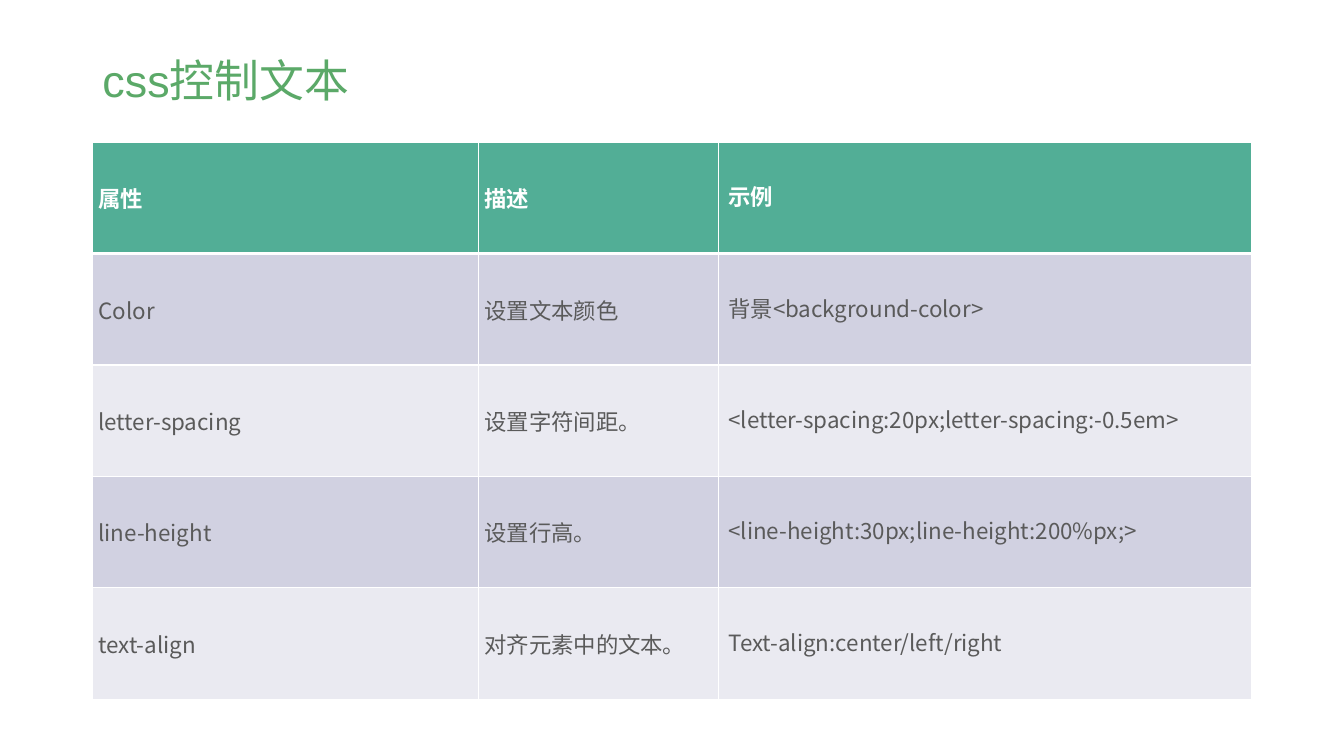
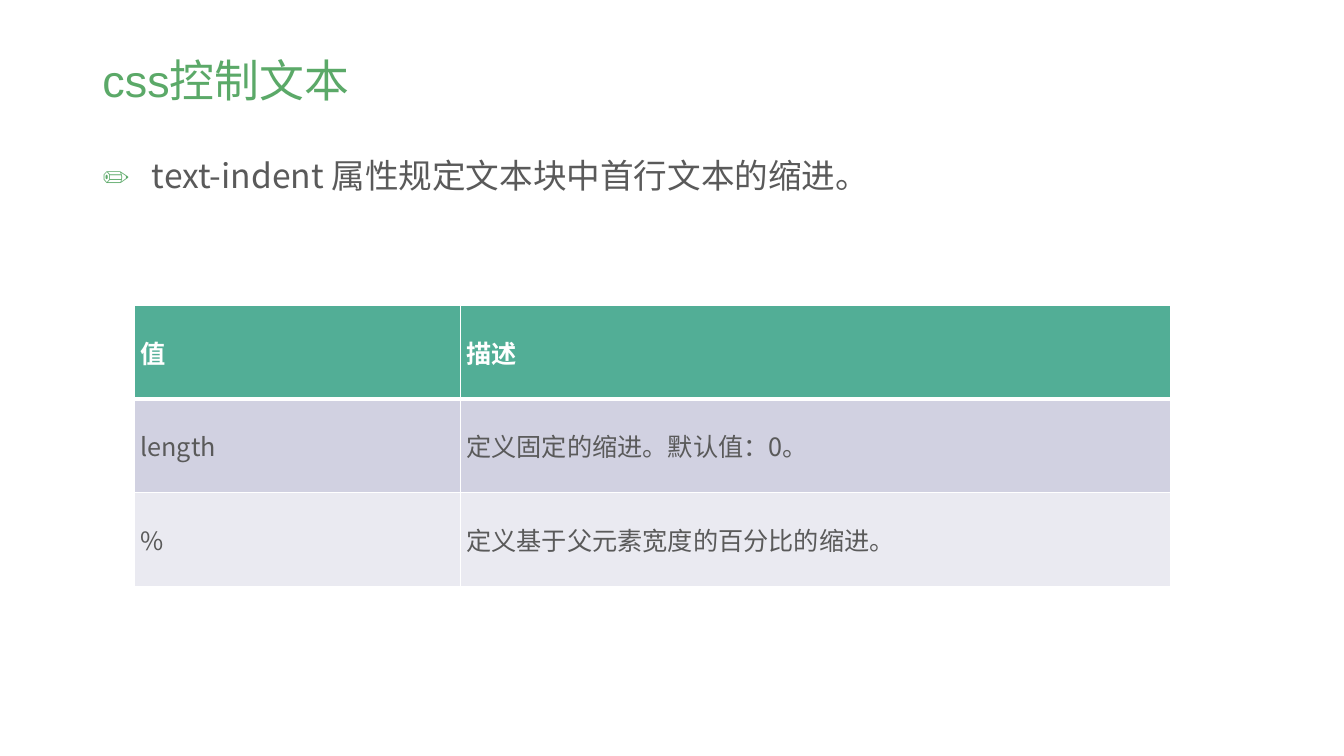
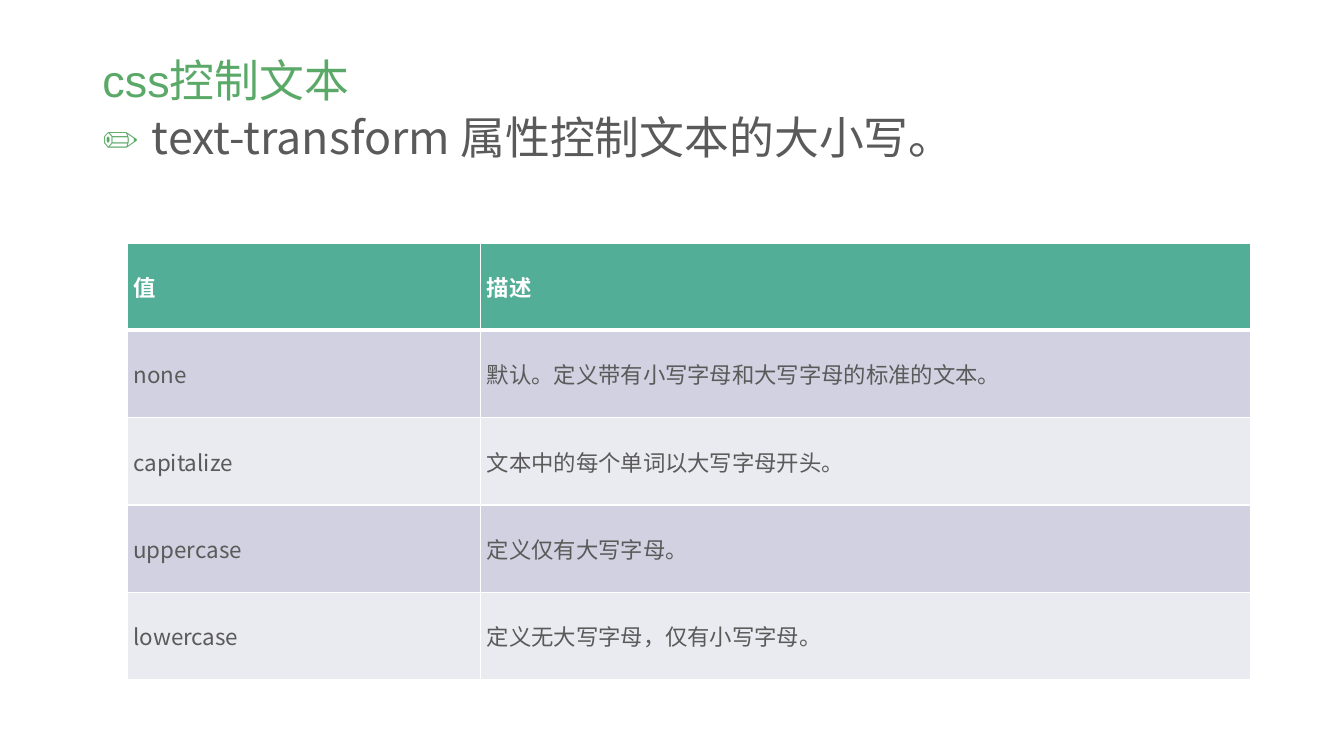
import dataclasses
import pptx
import pptx.dml.color
import pptx.enum.text
import pptx.oxml.ns
import pptx.util
import lxml.etree

Pt = pptx.util.Pt
text = pptx.enum.text


@dataclasses.dataclass(frozen=True)
class Theme:
    green: str = "5BA968"
    teal: str = "52AE96"
    ink: str = "5A5A5A"
    white: str = "FFFFFF"
    bands: tuple = ("D1D1E1", "EAEAF1")
    head: str = "Arial"
    main: str = "Noto Sans CJK SC"
    title: int = 32
    thin: int = 1
    thick: int = 3


theme = Theme()
MID = (4.32, 4, 11.52, 4)
HIGH = (7.2, 3.6, 7.2, 6.48)


def add(parent, tag, **attrs):
    node = lxml.etree.SubElement(parent, pptx.oxml.ns.qn(tag))
    for key, value in attrs.items():
        node.set(key, str(value))
    return node


def style(para, face, size, color, bold=False):
    font = para.font
    font.size = Pt(size)
    font.bold = bold
    font.color.rgb = pptx.dml.color.RGBColor.from_string(color)
    font.name = face
    node = para._p.pPr.find(pptx.oxml.ns.qn("a:defRPr"))
    add(node, "a:ea", typeface=face)


def place(shape, box):
    shape.left, shape.top, shape.width, shape.height = map(Pt, box)


def title(slide, words, box):
    shape = slide.shapes.title
    place(shape, box)
    frame = shape.text_frame
    frame.text = words
    frame.vertical_anchor = text.MSO_ANCHOR.MIDDLE
    frame.auto_size = text.MSO_AUTO_SIZE.NONE
    para = frame.paragraphs[0]
    para.alignment = text.PP_ALIGN.LEFT
    para.line_spacing = 0.9
    style(para, theme.head, theme.title, theme.green)


def bullet(para, indent):
    props = para._p.get_or_add_pPr()
    props.set("marL", str(Pt(indent)))
    props.set("indent", str(-Pt(indent)))
    tint = add(props, "a:buClr")
    add(tint, "a:srgbClr", val=theme.green)
    add(props, "a:buSzPct", val=85000)
    add(props, "a:buFont", typeface=theme.main)
    add(props, "a:buChar", char="✏")


def body(slide, words, size, box):
    shape = slide.placeholders[1]
    place(shape, box)
    frame = shape.text_frame
    frame.text = words
    frame.vertical_anchor = text.MSO_ANCHOR.TOP
    frame.auto_size = text.MSO_AUTO_SIZE.NONE
    para = frame.paragraphs[0]
    para.line_spacing = 1.2
    para.space_before = Pt(10)
    bullet(para, 35.28)
    style(para, theme.main, size, theme.ink)


def edge(cell, side, width):
    line = add(cell._tc.get_or_add_tcPr(), "a:ln" + side, w=Pt(width))
    fill = add(line, "a:solidFill")
    add(fill, "a:srgbClr", val=theme.white)


def paint(cell, words, row, size, inset):
    for side in "LRTB":
        rule = (side, row) in (("B", 0), ("T", 1))
        edge(cell, side, theme.thick if rule else theme.thin)
    back = theme.bands[(row - 1) % 2] if row else theme.teal
    cell.fill.solid()
    cell.fill.fore_color.rgb = pptx.dml.color.RGBColor.from_string(back)
    cell.vertical_anchor = text.MSO_ANCHOR.MIDDLE
    (cell.margin_left, cell.margin_top,
     cell.margin_right, cell.margin_bottom) = map(Pt, inset)
    cell.text = words
    color = theme.ink if row else theme.white
    style(cell.text_frame.paragraphs[0], theme.main, size, color, not row)


def table(slide, rows, cols, size, box):
    frame = slide.shapes.add_table(len(rows), len(cols), *map(Pt, box))
    grid = frame.table
    for col, part in zip(grid.columns, cols):
        col.width = Pt(box[2] * part / sum(cols))
    for r, line in enumerate(rows):
        grid.rows[r].height = Pt(box[3] / len(rows))
        for c, words in enumerate(line):
            inset = HIGH if c == 2 else MID
            paint(grid.cell(r, c), words, r, size, inset)


def page(deck, layout):
    slide = deck.slides.add_slide(deck.slide_layouts[layout])
    title(slide, "css控制文本", (66, 29, 828, 61))
    return slide


def main():
    deck = pptx.Presentation()
    deck.slide_width, deck.slide_height = Pt(960), Pt(540)

    slide = page(deck, 5)
    table(slide, [
        ("属性", "描述", "示例"),
        ("Color", "设置文本颜色", "背景<background-color>"),
        ("letter-spacing", "设置字符间距。",
         "<letter-spacing:20px;letter-spacing:-0.5em>"),
        ("line-height", "设置行高。",
         "<line-height:30px;line-height:200%px;>"),
        ("text-align", "对齐元素中的文本。", "Text-align:center/left/right"),
    ], (3.83, 2.38, 5.29), 16, (66, 101.5, 828, 398))

    slide = page(deck, 1)
    body(slide, "text-indent 属性规定文本块中首行文本的缩进。", 24,
         (66, 101.5, 828, 393))
    table(slide, [
        ("值", "描述"),
        ("length", "定义固定的缩进。默认值：0。"),
        ("%", "定义基于父元素宽度的百分比的缩进。"),
    ], (3.23, 7.04), 18, (96, 218, 740, 201))

    slide = page(deck, 1)
    body(slide, "text-transform 属性控制文本的大小写。", 32,
         (66, 67, 828, 473))
    table(slide, [
        ("值", "描述"),
        ("none", "默认。定义带有小写字母和大写字母的标准的文本。"),
        ("capitalize", "文本中的每个单词以大写字母开头。"),
        ("uppercase", "定义仅有大写字母。"),
        ("lowercase", "定义无大写字母，仅有小写字母。"),
    ], (3.51, 7.64), 16, (91, 173.5, 802, 312))

    deck.save("out.pptx")


if __name__ == "__main__":
    main()
